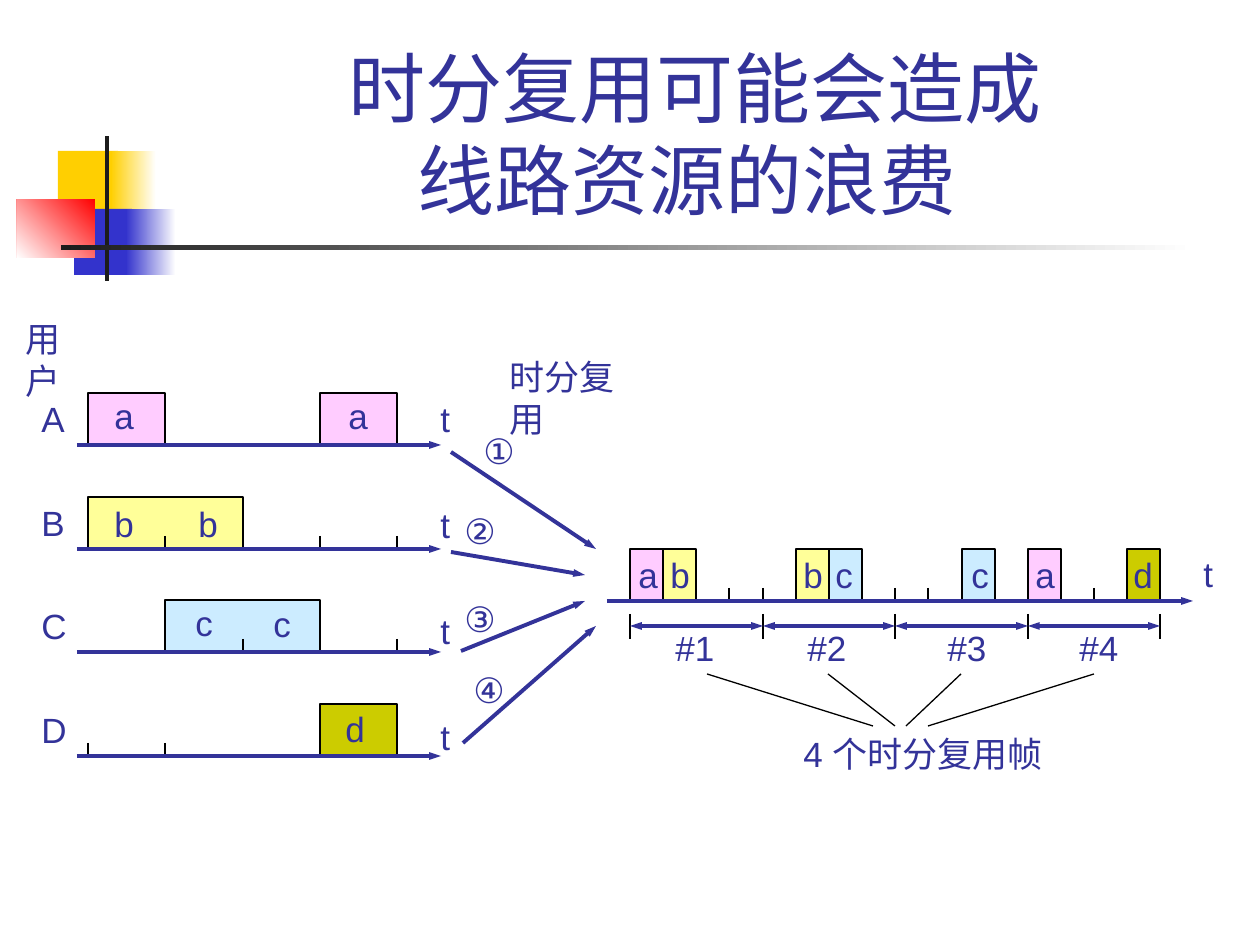
from lxml import etree
from pptx import Presentation
from pptx.dml.color import RGBColor
from pptx.enum.shapes import MSO_CONNECTOR, MSO_SHAPE
from pptx.enum.text import MSO_ANCHOR, MSO_AUTO_SIZE, PP_ALIGN
from pptx.oxml.ns import qn
from pptx.util import Pt

PX = 914400 / 126
INK = RGBColor(0x33, 0x33, 0x99)
BLACK = RGBColor(0, 0, 0)
WHITE = RGBColor(0xFF, 0xFF, 0xFF)
GOLD = RGBColor(0xFF, 0xCF, 0x01)
BLUE = RGBColor(0x33, 0x33, 0xCC)
RED = RGBColor(0xFF, 0, 0)
CHARCOAL = RGBColor(0x1C, 0x1C, 0x1C)
USER_COLORS = {
    "a": RGBColor(0xFF, 0xCC, 0xFF),
    "b": RGBColor(0xFF, 0xFF, 0x99),
    "c": RGBColor(0xCC, 0xEC, 0xFF),
    "d": RGBColor(0xCC, 0xCC, 0x00),
}

deck = Presentation()
deck.slide_width, deck.slide_height = round(1260 * PX), round(945 * PX)
page = deck.slides.add_slide(deck.slide_layouts[6])


def add_text(text, left, top, width, height=55, size=20):
    """Add a one-line label, or a title whose lines are split by newlines."""
    box = page.shapes.add_textbox(*(round(v * PX) for v in (left, top, width, height)))
    frame = box.text_frame
    frame.word_wrap = False
    frame.auto_size = MSO_AUTO_SIZE.SHAPE_TO_FIT_TEXT
    para = frame.paragraphs[0]
    for number, line in enumerate(text.split("\n")):
        if number:
            para.add_line_break()
        span = para.add_run()
        span.text = line
        span.font.name, span.font.size = "Arial", Pt(size)
        span.font.color.rgb = INK
    return frame


def add_line(x1, y1, x2, y2, ends=()):
    """Add a thin black line, or a thick arrow with heads at the named ends."""
    ends_px = (round(v * PX) for v in (x1, y1, x2, y2))
    line = page.shapes.add_connector(MSO_CONNECTOR.STRAIGHT, *ends_px)
    line.line.color.rgb = INK if ends else BLACK
    line.line.width = Pt(2.24 if ends else 0.74)
    outline = line.line._get_or_add_ln()
    for end in ends:
        etree.SubElement(outline, qn(f"a:{end}"), type="triangle", w="sm", len="med")
    etree.SubElement(line._element.spPr, qn("a:effectLst"))


# Corner ornament: left, top, width, height, colour, fade angle, fade colour
for left, top, width, height, color, angle, fade in [
    (58, 151, 60, 66, GOLD, None, None),
    (111, 151, 45, 66, GOLD, 180, WHITE),
    (74, 209, 58, 66, BLUE, None, None),
    (126, 209, 50, 66, BLUE, 180, WHITE),
    (17, 199, 78, 59, WHITE, 225, RED),
    (105, 136, 4, 145, CHARCOAL, None, None),
    (61, 245, 1134, 5, CHARCOAL, 180, WHITE),
]:
    block = page.shapes.add_shape(
        MSO_SHAPE.RECTANGLE, *(round(v * PX) for v in (left, top, width, height)))
    block.shadow.inherit = False
    block.line.fill.background()
    if angle is None:
        block.fill.solid()
        block.fill.fore_color.rgb = color
    else:
        block.fill.gradient()
        block.fill.gradient_angle = angle
        for stop, position, shade in zip(block.fill.gradient_stops, (0, 1), (fade, color)):
            stop.position, stop.color.rgb = position, shade

title = add_text("时分复用可能会造成\n线路资源的浪费 ", 159, 29, 1073, 202, size=44)
title.word_wrap = True
title.auto_size = MSO_AUTO_SIZE.NONE
title.vertical_anchor = MSO_ANCHOR.BOTTOM
title.paragraphs[0].alignment = PP_ALIGN.CENTER

user_slots = [round(88 + 77.3 * i) for i in range(5)]
user_axes = [round(445 + 103.7 * i) for i in range(4)]
mux_slots = [round(630 + 33.15 * i) for i in range(17)]
MUX_AXIS = 601

# Bursts: user letter, left edge, right edge, axis
bursts = [(letter, user_slots[first], user_slots[last], user_axes[row])
          for letter, first, last, row in [
              ("a", 0, 1, 0), ("a", 3, 4, 0), ("b", 0, 2, 1), ("c", 1, 3, 2), ("d", 3, 4, 3)]]
mux_bursts = [(0, "a", 626), (1, "b", 658), (5, "b", 791), (6, "c", 823),
              (10, "c", 959), (12, "a", 1023), (15, "d", 1121)]
bursts += [(letter, mux_slots[slot], mux_slots[slot + 1], MUX_AXIS)
           for slot, letter, _ in mux_bursts]
for letter, left, right, axis in bursts:
    outline = page.shapes.build_freeform(left, axis, scale=PX)
    outline.add_line_segments([(left, axis - 52), (right, axis - 52), (right, axis)], close=False)
    burst = outline.convert_to_shape()
    burst.shadow.inherit = False
    burst.fill.solid()
    burst.fill.fore_color.rgb = USER_COLORS[letter]
    burst.line.color.rgb = BLACK
    burst.line.width = Pt(0.74)

# Slot ticks
ticks = [(user_slots[slot], user_axes[row]) for row, slots in [
    (1, (1, 3, 4)), (2, (2, 4)), (3, (0, 1, 3))] for slot in slots]
ticks += [(mux_slots[slot], MUX_AXIS) for slot in (2, 3, 4, 8, 9, 14)]
for x, axis in ticks:
    add_line(x, axis - 13, x, axis)

# Time axes of the users and of the shared line
for row, axis in enumerate(user_axes):
    add_line(77, axis, 441, axis, ["tailEnd"])
    add_text("ABCD"[row], 29, axis - 54, 49)
    add_text("t", 428, 391 + 106 * row, 34)
add_line(607, MUX_AXIS, 1193, MUX_AXIS, ["tailEnd"])
add_text("t", 1191, 546, 34)

# Burst letters
for letter, left, top in [("a", 102, 388), ("a", 336, 388), ("b", 102, 496), ("b", 186, 496),
                          ("c", 183, 595), ("c", 261, 596), ("d", 333, 701)]:
    add_text(letter, left, top, 44)
for _, letter, left in mux_bursts:
    add_text(letter, left, 547, 44)

# Frames, their numbers and the lines to the caption
for x in mux_slots[::4]:
    add_line(x, 614, x, 639)
for number, (label_left, from_x, to_x) in enumerate([
        (663, 707, 873), (795, 828, 895), (935, 961, 906), (1067, 1094, 928)]):
    add_line(mux_slots[4 * number], 626, mux_slots[4 * number + 4], 626, ["headEnd", "tailEnd"])
    add_text(f"#{number + 1}", label_left, 620, 64)
    add_line(from_x, 674, to_x, 726)

# Arrows from the users to the shared line
for mark, left, top, arrow in [
    ("①", 471, 423, (451, 452, 596, 549)),
    ("②", 452, 503, (451, 552, 585, 575)),
    ("③", 452, 591, (461, 651, 585, 601)),
    ("④", 461, 662, (463, 743, 596, 626)),
]:
    add_line(*arrow, ["tailEnd"])
    add_text(mark, left, top, 60)

add_text("用户", 13, 311, 94)
add_text("时分复用", 497, 349, 165)
add_text("4 个时分复用帧", 791, 726, 273)

deck.save("out.pptx")
